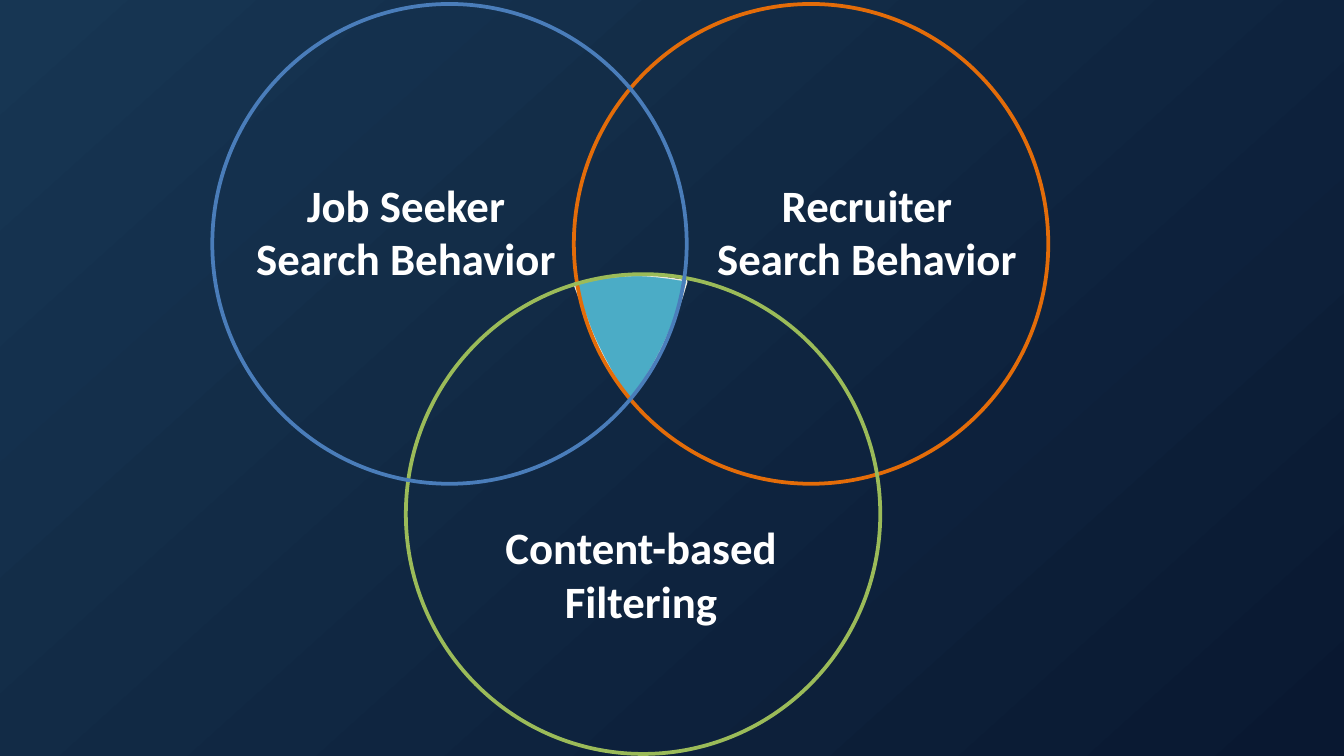
from dataclasses import dataclass

from pptx import Presentation
from pptx.dml.color import RGBColor
from pptx.enum.shapes import MSO_SHAPE
from pptx.enum.text import PP_ALIGN
from pptx.util import Inches, Pt

OVAL = MSO_SHAPE.OVAL
CENTER = PP_ALIGN.CENTER
CELL = Inches(0.1)
COLUMNS, ROWS = 100, 56.25
CURVE_STEPS = 8


@dataclass(frozen=True)
class Theme:
    font: str = "Calibri"
    label_size: float = 24
    ring_width: float = 2
    edge_width: float = 0.75
    text: str = "FFFFFF"
    backdrop: tuple = ("173653", "091831")
    backdrop_angle: float = 312
    seeker: str = "4A7DBA"
    recruiter: str = "E36C09"
    content: str = "9BBB59"
    overlap: str = "4BACC6"
    overlap_edge: str = "EEECE1"


def cells(*lengths):
    return [round(length * CELL) for length in lengths]


def curve(start, control_a, control_b, end):
    points = []
    for step in range(1, CURVE_STEPS + 1):
        t = step / CURVE_STEPS
        weights = ((1 - t) ** 3, 3 * t * (1 - t) ** 2, 3 * t * t * (1 - t), t ** 3)
        corners = (start, control_a, control_b, end)
        points.append(tuple(
            sum(w * corner[axis] for w, corner in zip(weights, corners))
            for axis in (0, 1)
        ))
    return points


class VennSlide:
    def __init__(self, presentation, theme):
        self.theme = theme
        self.slide = presentation.slides.add_slide(presentation.slide_layouts[6])

    def backdrop(self):
        fill = self.slide.background.fill
        fill.gradient()
        fill.gradient_angle = self.theme.backdrop_angle
        for stop, color in zip(fill.gradient_stops, self.theme.backdrop):
            stop.color.rgb = RGBColor.from_string(color)

    def outline(self, shape, color, width):
        shape.shadow.inherit = False
        shape.line.color.rgb = RGBColor.from_string(color)
        shape.line.width = Pt(width)

    def ring(self, left, top, width, height, color):
        circle = self.slide.shapes.add_shape(OVAL, *cells(left, top, width, height))
        circle.fill.background()
        self.outline(circle, color, self.theme.ring_width)

    def region(self, start, segments):
        points = [start]
        for segment in segments:
            points += curve(points[-1], *segment) if len(segment) == 3 else segment
        builder = self.slide.shapes.build_freeform(*cells(*start))
        builder.add_line_segments([cells(*point) for point in points[1:]], close=True)
        overlap = builder.convert_to_shape()
        overlap.fill.solid()
        overlap.fill.fore_color.rgb = RGBColor.from_string(self.theme.overlap)
        self.outline(overlap, self.theme.overlap_edge, self.theme.edge_width)

    def label(self, left, top, width, height, lines):
        frame = self.slide.shapes.add_textbox(*cells(left, top, width, height)).text_frame
        frame.word_wrap = True
        for index, line in enumerate(lines):
            paragraph = frame.add_paragraph() if index else frame.paragraphs[0]
            paragraph.alignment = CENTER
            run = paragraph.add_run()
            run.text = line
            run.font.name = self.theme.font
            run.font.size = Pt(self.theme.label_size)
            run.font.bold = True
            run.font.color.rgb = RGBColor.from_string(self.theme.text)


def main():
    presentation = Presentation()
    presentation.slide_width, presentation.slide_height = cells(COLUMNS, ROWS)
    theme = Theme()
    venn = VennSlide(presentation, theme)
    venn.backdrop()

    venn.region((47.4, 20.5), [
        ((48.2, 20.5), (49, 20.6), (49.8, 20.7)),
        [(51.1, 20.9), (51.1, 21)],
        ((50.4, 23.5), (49.4, 25.9), (48.1, 28)),
        [(46.9, 29.8), (45.7, 28)],
        ((45.1, 26.9), (44.5, 25.8), (44, 24.6)),
        [(42.7, 21.1), (44.9, 20.7)],
        ((45.7, 20.6), (46.5, 20.5), (47.4, 20.5)),
    ])

    label_width, label_height = 24.8, 9.1
    for left, top, lines in (
        (17.8, 12.7, ["Job Seeker", "Search Behavior"]),
        (52.1, 12.7, ["Recruiter", "Search Behavior"]),
        (35.3, 38.2, ["Content-based Filtering"]),
    ):
        venn.label(left, top, label_width, label_height, lines)

    ring_width, ring_height = 35.3, 35.7
    for left, top, color in (
        (42.7, 0.3, theme.recruiter),
        (30.2, 20.4, theme.content),
        (15.8, 0.3, theme.seeker),
    ):
        venn.ring(left, top, ring_width, ring_height, color)

    presentation.save("out.pptx")


if __name__ == "__main__":
    main()
